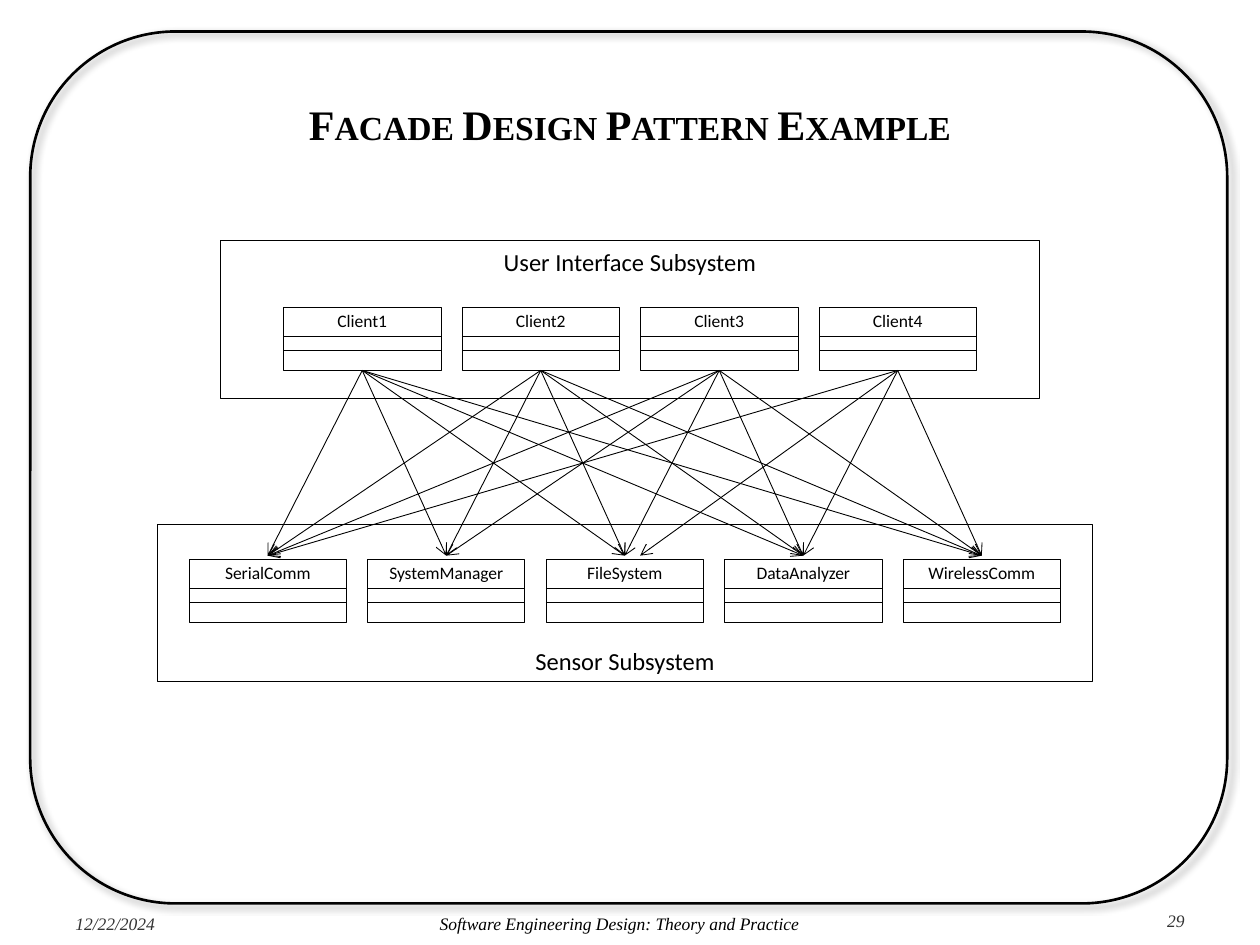
from lxml import etree
from pptx import Presentation
from pptx.dml.color import RGBColor
from pptx.enum import shapes, text
from pptx.oxml import parse_xml
from pptx.oxml.ns import nsdecls, qn
from pptx.util import Inches, Pt

BLACK, GREY = "000000", "333333"
SERIF, SANS = "Times New Roman", "Calibri"
LEFT, CENTER, RIGHT = text.PP_ALIGN.LEFT, text.PP_ALIGN.CENTER, text.PP_ALIGN.RIGHT

TITLE = "Facade Design Pattern Example"
FOOTERS = [  # text, box, alignment, colour
    ("12/22/2024", (0.5, 7.2, 1.08, 0.3), LEFT, GREY),
    ("Software Engineering Design: Theory and Practice", (1.58, 7.2, 6.67, 0.3), CENTER, BLACK),
    ("29", (8.25, 7.17, 1.25, 0.33), RIGHT, GREY),
]
SENSORS = ["SerialComm", "SystemManager", "FileSystem", "DataAnalyzer", "WirelessComm"]
CLIENTS = ["Client1", "Client2", "Client3", "Client4"]
SUBSYSTEMS = [  # name, box, top of the name
    ("User Interface Subsystem", (1.75, 1.91, 6.5, 1.25), 1.91),
    ("Sensor Subsystem", (1.25, 4.16, 7.42, 1.25), 5.08),
]
USES = {
    "Client1": SENSORS,
    "Client2": SENSORS,
    "Client3": SENSORS,
    "Client4": ["SerialComm", "FileSystem", "DataAnalyzer", "WirelessComm"],
}
# This arrow stops to the right of the middle of its class.
FREE_ENDS = {("Client4", "FileSystem"): (5.08, 4.41)}

CLASS_WIDTH, CLASS_HEIGHT, CLASS_GAP = 1.25, 0.5, 1 / 6
DIVIDERS = (0.23, 0.34)
LABEL_RISE, LABEL_HEIGHT = 0.03, 0.27


def color(value):
    return RGBColor.from_string(value)


def add_box(parent, preset, box, weight=0.5):
    """Add an unfilled outline shape."""
    shape = parent.add_shape(preset, *map(Inches, box))
    shape.shadow.inherit = False
    shape.fill.background()
    shape.line.color.rgb = color(BLACK)
    shape.line.width = Pt(weight)
    return shape


def add_text(parent, words, box, size, font, align=CENTER, ink=BLACK, italic=False):
    shape = parent.add_textbox(*map(Inches, box))
    shape.text_frame.word_wrap = True
    paragraph = shape.text_frame.paragraphs[0]
    paragraph.text = words
    paragraph.alignment = align
    paragraph.font.size = Pt(size)
    paragraph.font.name = font
    paragraph.font.italic = italic
    paragraph.font.color.rgb = color(ink)
    return shape


def add_line(parent, start, end):
    line = parent.add_connector(shapes.MSO_CONNECTOR.STRAIGHT, *map(Inches, (*start, *end)))
    line.line.color.rgb = color(BLACK)
    line.line.width = Pt(0.5)
    etree.SubElement(line._element.spPr, qn("a:effectLst"))
    return line


def add_class(parent, name, left, top):
    """Add a grouped class symbol; return its outline and its label."""
    group = parent.add_group_shape().shapes
    outline = add_box(group, shapes.MSO_SHAPE.RECTANGLE, (left, top, CLASS_WIDTH, CLASS_HEIGHT))
    for offset in DIVIDERS:
        add_line(group, (left, top + offset), (left + CLASS_WIDTH, top + offset))
    label_box = (left, top - LABEL_RISE, CLASS_WIDTH, LABEL_HEIGHT)
    return outline, add_text(group, name, label_box, 10, SANS)


def add_class_row(parent, names, left, top):
    pitch = CLASS_WIDTH + CLASS_GAP
    return {name: add_class(parent, name, left + i * pitch, top) for i, name in enumerate(names)}


def add_frame(parent):
    frame = add_box(parent, shapes.MSO_SHAPE.ROUNDED_RECTANGLE, (0.24, 0.25, 9.5, 6.92), 1.5)
    effects = frame._element.spPr.find(qn("a:effectLst"))
    effects.append(parse_xml(
        f'<a:outerShdw {nsdecls("a")} blurRad="{Pt(4)}" dist="{Pt(3)}" dir="2700000" '
        f'algn="tl" rotWithShape="0"><a:srgbClr val="{BLACK}"><a:alpha val="40000"/>'
        '</a:srgbClr></a:outerShdw>'))


def add_title(parent):
    title = add_text(parent, TITLE, (0.5, 0.55, 9, 0.87), 24, SERIF)
    title.text_frame.vertical_anchor = text.MSO_ANCHOR.MIDDLE
    paragraph = title.text_frame.paragraphs[0]
    paragraph.font.bold = True
    paragraph.runs[0].font._element.set("cap", "small")


def add_use(parent, outline, label, free_end=None):
    """Draw an arrow from a client's bottom to the top of a sensor class."""
    arrow = add_line(parent, (0, 0), free_end or (0, 0))
    arrow.begin_connect(outline, 2)
    if not free_end:
        arrow.end_connect(label, 0)
    etree.SubElement(arrow.line._get_or_add_ln(), qn("a:tailEnd"), type="arrow")


def main():
    presentation = Presentation()
    presentation.slide_width, presentation.slide_height = Inches(10), Inches(7.5)
    parent = presentation.slides.add_slide(presentation.slide_layouts[6]).shapes

    add_frame(parent)
    add_title(parent)
    for words, box, align, ink in FOOTERS:
        add_text(parent, words, box, 10, SERIF, align, ink, italic=True)

    sensors = add_class_row(parent, SENSORS, 1.5, 4.44)
    clients = add_class_row(parent, CLIENTS, 2.25, 2.44)
    for name, box, name_top in SUBSYSTEMS:
        add_box(parent, shapes.MSO_SHAPE.RECTANGLE, box)
        add_text(parent, name, (box[0], name_top, box[2], 0.34), 14, SANS)

    for client, used in USES.items():
        for sensor in used:
            add_use(parent, clients[client][0], sensors[sensor][1], FREE_ENDS.get((client, sensor)))

    presentation.save("out.pptx")


if __name__ == "__main__":
    main()
